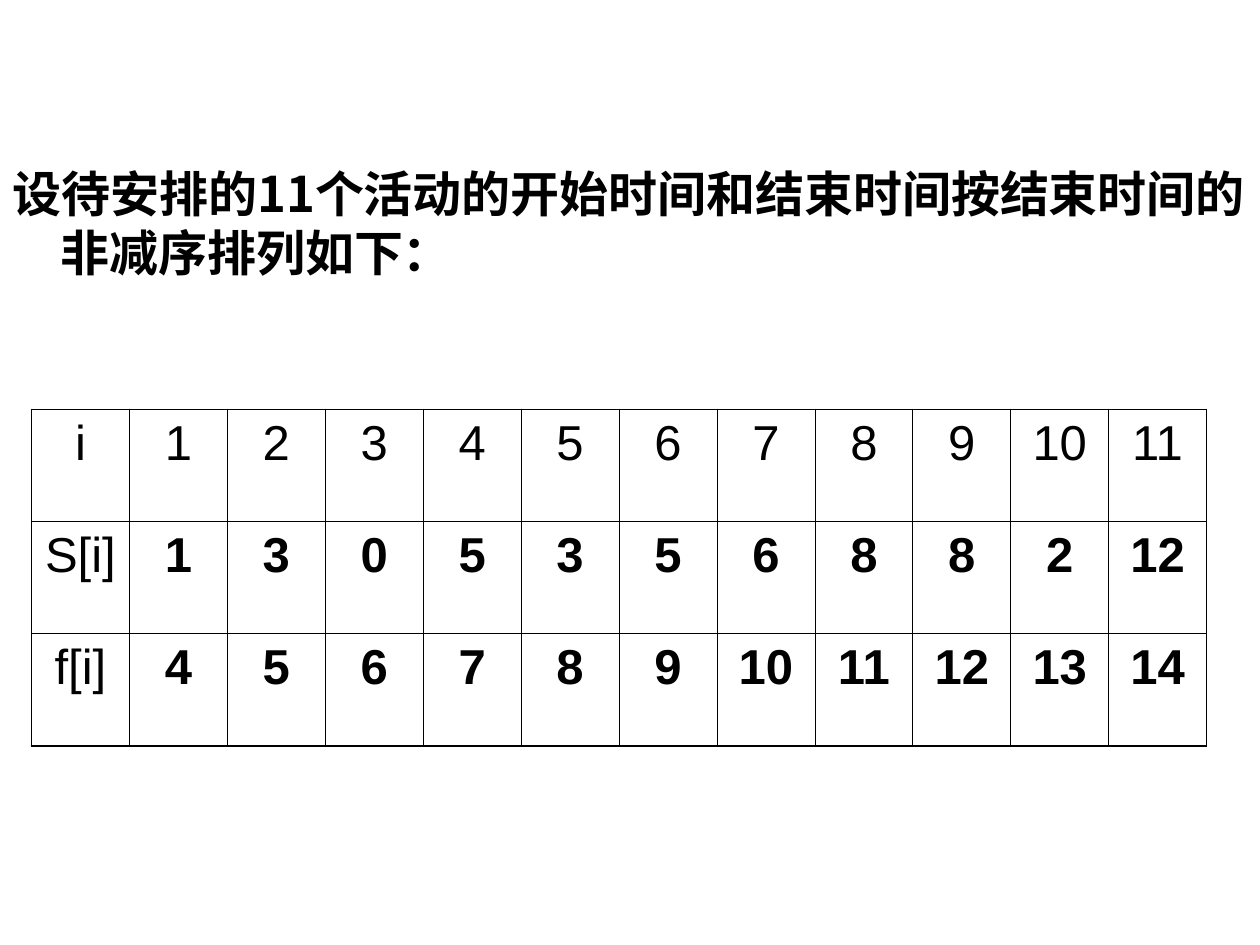
import dataclasses
import typing

import lxml.etree
import pptx
import pptx.dml.color
import pptx.enum.text
import pptx.oxml
import pptx.oxml.ns
import pptx.util

Inches = pptx.util.Inches
Pt = pptx.util.Pt
qn = pptx.oxml.ns.qn


@dataclasses.dataclass(frozen=True)
class Theme:
    ink: str = "000000"
    size: float = 28
    space_before: float = 7
    intro_font: str = "Noto Sans CJK SC"
    table_font: str = "Arial"
    outer_line: float = 1.08
    inner_line: float = 0.45


@dataclasses.dataclass(frozen=True)
class Row:
    label: str
    values: typing.Sequence[int]
    bold: bool = True


THEME = Theme()
INTRO = "设待安排的11个活动的开始时间和结束时间按结束时间的非减序排列如下："
ACTIVITIES = [
    Row("i", range(1, 12), bold=False),
    Row("S[i]", [1, 3, 0, 5, 3, 5, 6, 8, 8, 2, 12]),
    Row("f[i]", range(4, 15)),
]


def write(tf, text: str, font: str, bold: bool, align) -> typing.Any:
    """Fill the first paragraph with one formatted run and return the paragraph."""
    p = tf.paragraphs[0]
    p.alignment = align
    p.space_before = Pt(THEME.space_before)
    r = p.add_run()
    r.text = text
    for name, value in {"name": font, "size": Pt(THEME.size), "bold": bold}.items():
        setattr(r.font, name, value)
    r.font.color.rgb = pptx.dml.color.RGBColor.from_string(THEME.ink)
    lxml.etree.SubElement(r.font._element, qn("a:ea"), typeface=font)
    return p


def add_intro(body) -> None:
    frame = {"left": 0, "top": 1.25, "width": 10, "height": 6.25}
    for name, value in frame.items():
        setattr(body, name, Inches(value))
    p = write(body.text_frame, INTRO, THEME.intro_font, True,
              pptx.enum.text.PP_ALIGN.LEFT)
    pPr = p._p.get_or_add_pPr()
    pPr.set("marL", str(Inches(0.38)))
    pPr.set("indent", str(Inches(-0.38)))
    lxml.etree.SubElement(pPr, qn("a:buNone"))


def set_borders(cell, outer: dict[str, bool]) -> None:
    """Draw each side, heavier where it lies on the table's edge."""
    tcPr = cell._tc.get_or_add_tcPr()
    for i, (side, is_outer) in enumerate(outer.items()):
        width = THEME.outer_line if is_outer else THEME.inner_line
        ln = lxml.etree.Element(qn(f"a:{side}"), w=str(Pt(width)))
        fill = lxml.etree.SubElement(ln, qn("a:solidFill"))
        lxml.etree.SubElement(fill, qn("a:srgbClr"), val=THEME.ink)
        tcPr.insert(i, ln)


def add_activity_table(s, rows: list[Row]) -> None:
    n_rows, n_cols = len(rows), len(rows[0].values) + 1
    table = s.shapes.add_table(n_rows, n_cols, Inches(0.25), Inches(3.25),
                               Inches(9.33), Inches(2.67)).table
    table.first_row = table.horz_banding = False
    for i, row in enumerate(rows):
        for j, value in enumerate([row.label, *row.values]):
            cell = table.cell(i, j)
            cell.fill.background()
            write(cell.text_frame, str(value), THEME.table_font,
                  row.bold and j > 0, pptx.enum.text.PP_ALIGN.CENTER)
            set_borders(cell, {"lnL": j == 0, "lnR": j == n_cols - 1,
                               "lnT": i == 0, "lnB": i == n_rows - 1})


def main() -> None:
    prs = pptx.Presentation()
    prs.slide_width, prs.slide_height = Inches(10), Inches(7.5)
    s = prs.slides.add_slide(prs.slide_layouts[1])
    title = s.shapes.title._element
    title.getparent().remove(title)
    add_intro(s.placeholders[1])
    add_activity_table(s, ACTIVITIES)
    prs.save("out.pptx")


if __name__ == "__main__":
    main()
